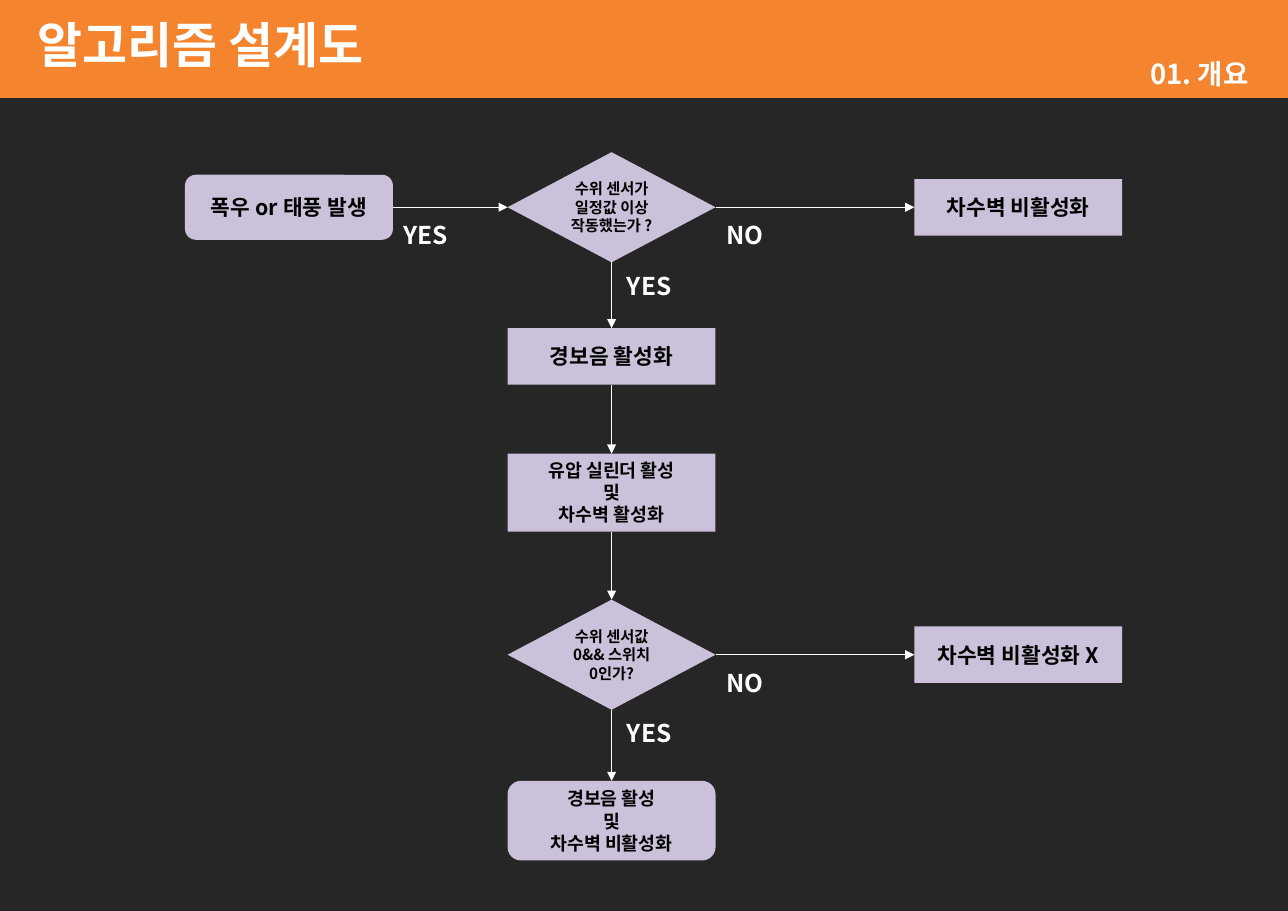
import pptx
import pptx.util
import pptx.dml.color
import pptx.enum.shapes
import pptx.enum.text
import pptx.oxml.ns
import lxml.etree

Pt = pptx.util.Pt
qn = pptx.oxml.ns.qn
Shape = pptx.enum.shapes.MSO_SHAPE
Align = pptx.enum.text.PP_ALIGN
Anchor = pptx.enum.text.MSO_ANCHOR

FONT = "Noto Sans CJK KR"
DARK, ORANGE, LILAC, WHITE, BLACK = "262626", "F5842F", "CCC1DA", "FFFFFF", "000000"
TOP, LEFT, BOTTOM, RIGHT = range(4)
PAGE_WIDTH, PAGE_HEIGHT = 842.38, 595.5
NODE_WIDTH = 136
MAIN_CENTER, START_CENTER, SIDE_CENTER = 400, 189, 666
FIRST_ROW, SECOND_ROW = 135.5, 428


def color(value):
    return pptx.dml.color.RGBColor.from_string(value)


def write(shape, text, size, ink, align=Align.LEFT, anchor=Anchor.TOP):
    frame = shape.text_frame
    frame.word_wrap = True
    frame.auto_size = pptx.enum.text.MSO_AUTO_SIZE.NONE
    frame.vertical_anchor = anchor
    frame.text = text
    for para in frame.paragraphs:
        para.alignment = align
        para.font.name = FONT
        para.font.size = Pt(size)
        para.font.bold = True
        para.font.color.rgb = color(ink)
        defaults = para._p.pPr.find(qn("a:defRPr"))
        lxml.etree.SubElement(defaults, qn("a:ea")).set("typeface", FONT)


def add_box(page, kind, left, top, width, height, fill):
    box = page.shapes.add_shape(kind, Pt(left), Pt(top), Pt(width), Pt(height))
    box.shadow.inherit = False
    box.fill.solid()
    box.fill.fore_color.rgb = color(fill)
    box.line.fill.background()
    return box


def add_label(page, text, left, top, width=72, height=26.6, size=16):
    label = page.shapes.add_textbox(Pt(left), Pt(top), Pt(width), Pt(height))
    write(label, text, size, WHITE)


def add_node(page, kind, center, middle, height, text, size):
    node = add_box(page, kind, center - NODE_WIDTH / 2, middle - height / 2,
                   NODE_WIDTH, height, LILAC)
    write(node, text, size, BLACK, Align.CENTER, Anchor.MIDDLE)
    return node


def add_arrow(page, source, target, sideways=False, label=None):
    arrow = page.shapes.add_connector(pptx.enum.shapes.MSO_CONNECTOR.STRAIGHT, 0, 0, 0, 0)
    arrow.begin_connect(source, RIGHT if sideways else BOTTOM)
    arrow.end_connect(target, LEFT if sideways else TOP)
    arrow.line.color.rgb = color(WHITE)
    arrow.line.width = Pt(0.75)
    line = arrow.line._get_or_add_ln()
    lxml.etree.SubElement(line, qn("a:tailEnd")).set("type", "triangle")
    lxml.etree.SubElement(arrow._element.spPr, qn("a:effectLst"))
    if label and sideways:
        add_label(page, label, arrow.begin_x.pt, arrow.begin_y.pt + 5)
    elif label:
        add_label(page, label, arrow.begin_x.pt + 3, arrow.begin_y.pt + 2)


def add_header(page, left, top, width, height):
    add_box(page, Shape.RECTANGLE, left, top, width, height, ORANGE)
    title = page.shapes.title
    page.shapes._spTree.append(title._element)
    title.left, title.top = Pt(left + 17.3), Pt(top + 5.8)
    title.width, title.height = Pt(403), Pt(46)
    write(title, "알고리즘 설계도", 32, WHITE, anchor=Anchor.MIDDLE)
    add_label(page, "01. 개요", left + width - 97.2, top + 33.8, 108, 29, 18)


def add_flow(page):
    start = add_node(page, Shape.ROUNDED_RECTANGLE, START_CENTER, FIRST_ROW, 42.5,
                     "폭우 or 태풍 발생", 14)
    level_check = add_node(page, Shape.DIAMOND, MAIN_CENTER, FIRST_ROW, 72,
                           "수위 센서가\n일정값 이상 작동했는가 ?", 10)
    wall_off = add_node(page, Shape.RECTANGLE, SIDE_CENTER, FIRST_ROW, 37,
                        "차수벽 비활성화", 14)
    alarm = add_node(page, Shape.RECTANGLE, MAIN_CENTER, 233, 37, "경보음 활성화", 14)
    cylinder = add_node(page, Shape.RECTANGLE, MAIN_CENTER, 322, 51,
                        "유압 실린더 활성\v및\v차수벽 활성화", 12)
    switch_check = add_node(page, Shape.DIAMOND, MAIN_CENTER, SECOND_ROW, 72,
                            "수위 센서값0&& 스위치 0인가?", 10)
    wall_kept = add_node(page, Shape.RECTANGLE, SIDE_CENTER, SECOND_ROW, 37,
                         "차수벽 비활성화 X", 14)
    finish = add_node(page, Shape.ROUNDED_RECTANGLE, MAIN_CENTER, 536.5, 52,
                      "경보음 활성\v및\v차수벽 비활성화", 12)

    add_arrow(page, start, level_check, True, "YES")
    add_arrow(page, level_check, wall_off, True, "NO")
    add_arrow(page, level_check, alarm, label="YES")
    add_arrow(page, alarm, cylinder)
    add_arrow(page, cylinder, switch_check)
    add_arrow(page, switch_check, wall_kept, True, "NO")
    add_arrow(page, switch_check, finish, label="YES")


def main():
    deck = pptx.Presentation()
    deck.slide_width, deck.slide_height = Pt(PAGE_WIDTH), Pt(PAGE_HEIGHT)
    page = deck.slides.add_slide(deck.slide_layouts[5])
    page.background.fill.solid()
    page.background.fill.fore_color.rgb = color(DARK)
    add_header(page, 0, 0, PAGE_WIDTH, 64)
    add_flow(page)
    deck.save("out.pptx")


if __name__ == "__main__":
    main()
